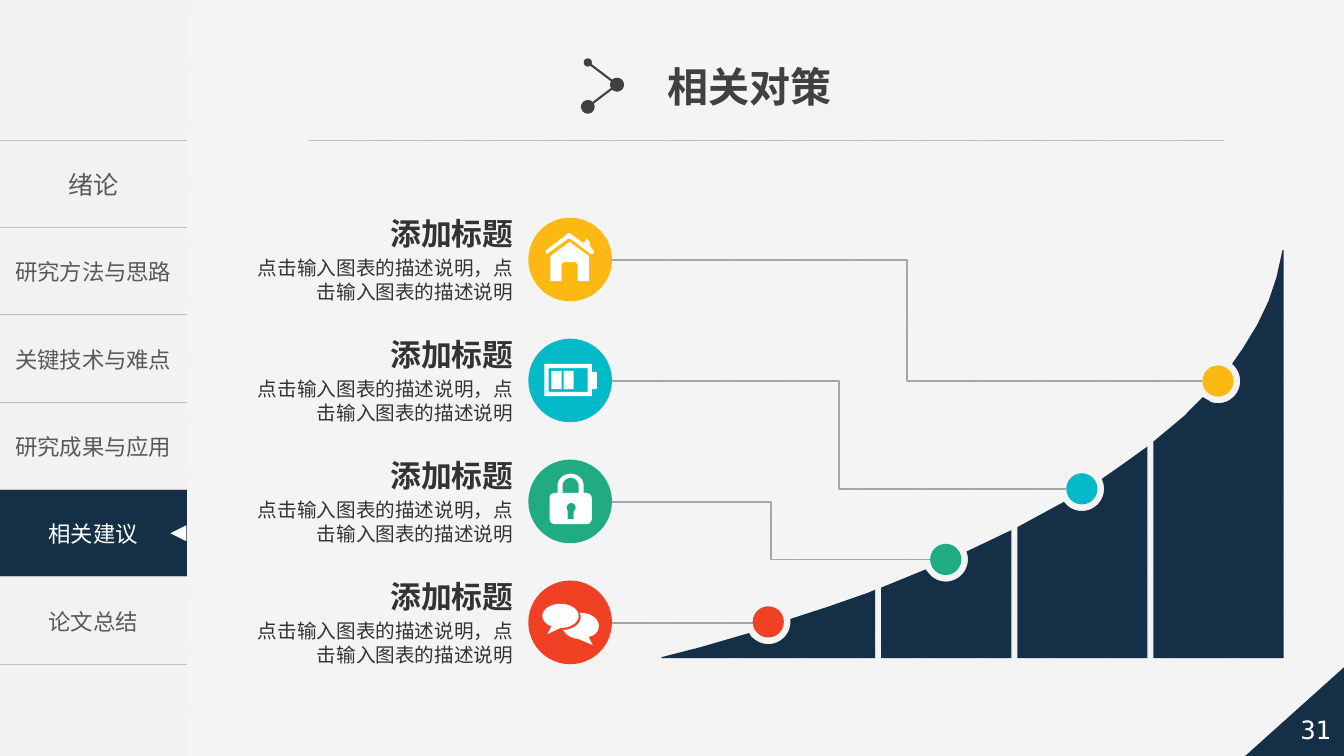
from math import atan2, cos, radians, sin, degrees
from lxml import etree
from pptx import Presentation
from pptx.dml.color import RGBColor
from pptx.enum.dml import MSO_PATTERN
from pptx.enum.shapes import MSO_CONNECTOR, MSO_SHAPE
from pptx.enum.text import MSO_ANCHOR, PP_ALIGN
from pptx.oxml import parse_xml
from pptx.oxml.ns import nsdecls, qn
from pptx.util import Inches, Pt

COLORS = {"navy": "152F47", "white": "FFFFFF", "paper": "F2F2F2", "rule": "BFBFBF",
          "link": "A6A6A6", "title": "404040", "text": "333333", "menu": "595959",
          "yellow": "FCB813", "cyan": "05BAC8", "green": "21AB82", "red": "F14124"}
CJK = "Noto Sans CJK SC"
MENU = ["绪论", "研究方法与思路", "关键技术与难点", "研究成果与应用", "相关建议", "论文总结"]
ACTIVE = 4
DOT = 0.31
# Dot centre and hill edge before and after the dot, by column
HILL = [
    ("red", (7.62, 6.17), [(6.56, 6.52), (6.95, 6.42), (7.43, 6.28), (7.46, 6.33)],
     [(7.84, 6.14), (8.21, 6.02), (8.61, 5.88), (8.68, 5.85)]),
    ("green", (9.38, 5.55), [(8.74, 5.83), (9.18, 5.65), (9.23, 5.71)],
     [(9.59, 5.47), (10.03, 5.26)]),
    ("cyan", (10.73, 4.85), [(10.09, 5.23), (10.44, 5.04), (10.55, 4.98), (10.58, 5.01)],
     [(10.93, 4.75), (11.13, 4.61), (11.38, 4.43)]),
    ("yellow", (12.08, 3.78), [(11.44, 4.38), (11.74, 4.13), (11.93, 3.94), (12, 3.98)],
     [(12.22, 3.61), (12.33, 3.45), (12.47, 3.22), (12.58, 2.99), (12.66, 2.75),
      (12.72, 2.48), (12.73, 2.48)]),
]


def rgb(name):
    return RGBColor.from_string(COLORS[name])


def text(tf, value, size=14, color="text", font=CJK, bold=False, align=PP_ALIGN.CENTER,
         wrap=True, leading=None):
    tf.word_wrap = wrap
    tf.vertical_anchor = MSO_ANCHOR.MIDDLE
    p = tf.paragraphs[0]
    p.alignment = align
    if leading:
        p.line_spacing = Pt(leading)
    r = p.add_run()
    r.text = value
    r.font.size, r.font.bold, r.font.name = Pt(size), bold, font
    r.font.color.rgb = rgb(color)
    rpr = r.font._element
    rpr.set("lang", "zh-CN")
    ea = etree.Element(qn("a:ea"), typeface=CJK)
    rpr.find(qn("a:latin")).addnext(ea)


def paint(sp, color):
    sp.shadow.inherit = False
    sp.fill.solid()
    sp.fill.fore_color.rgb = rgb(color)
    sp.line.fill.background()
    return sp


def shape(s, kind, x, y, w, h, color):
    return paint(s.shapes.add_shape(kind, Inches(x), Inches(y), Inches(w), Inches(h)), color)


def polygon(s, points, color, cx=0, cy=0):
    pts = [(Inches(cx + x), Inches(cy + y)) for x, y in points]
    fb = s.shapes.build_freeform(*pts[0])
    fb.add_line_segments(pts[1:], close=True)
    return paint(fb.convert_to_shape(), color)


def arc(cx, cy, rx, ry, start, end, steps=32):
    angles = [radians(start + (end - start) * i / steps) for i in range(steps + 1)]
    return [(cx + rx * cos(a), cy + ry * sin(a)) for a in angles]


def line(s, start, end, color, width, kind=MSO_CONNECTOR.STRAIGHT, ovals=()):
    c = s.shapes.add_connector(kind, *[Inches(v) for v in (*start, *end)])
    c.line.color.rgb = rgb(color)
    c.line.width = Pt(width)
    for tag, size in zip(("a:headEnd", "a:tailEnd"), ovals):
        etree.SubElement(c.line._ln, qn(tag), type="oval", w=size, len=size)
    etree.SubElement(c._element.spPr, qn("a:effectLst"))


def textbox(s, x, y, w, h, value, **fmt):
    box = s.shapes.add_textbox(Inches(x), Inches(y), Inches(w), Inches(h))
    text(box.text_frame, value, **fmt)


def cell_borders(cell):
    tc_pr = cell._tc.get_or_add_tcPr()
    solid = f'<a:solidFill><a:srgbClr val="{COLORS["rule"]}"/></a:solidFill>'
    for i, side in enumerate("LRTB"):
        fill = solid if side in "TB" else "<a:noFill/>"
        tc_pr.insert(i, parse_xml(f'<a:ln{side} {nsdecls("a")} w="12700">{fill}</a:ln{side}>'))


def sidebar(s, x, y, w, h):
    shape(s, MSO_SHAPE.RECTANGLE, x, y, w, h, "paper")
    top, row_h = y + 1.39, 5.2 / len(MENU)
    table = s.shapes.add_table(len(MENU), 1, Inches(x), Inches(top),
                               Inches(w), Inches(5.2)).table
    table.first_row = table.horz_banding = False
    for i, label in enumerate(MENU):
        cell = table.cell(i, 0)
        cell.vertical_anchor = MSO_ANCHOR.MIDDLE
        if i == ACTIVE:
            cell.fill.solid()
            cell.fill.fore_color.rgb = rgb("navy")
        else:
            cell.fill.background()
        cell_borders(cell)
        text(cell.text_frame, label, size=16 if i else 18,
             color="white" if i == ACTIVE else "menu")
    mark = shape(s, MSO_SHAPE.ISOSCELES_TRIANGLE, x + w - 0.16,
                 top + (ACTIVE + 0.5) * row_h - 0.08, 0.16, 0.16, "white")
    mark.rotation = 270


def header(s, x, y, w, h):
    title = s.shapes.title
    title.left, title.top = Inches(x + 3.47), Inches(y)
    title.width, title.height = Inches(1.85), Inches(0.59)
    text(title.text_frame, "相关对策", size=29.3, color="title", font="Arial", bold=True,
         align=PP_ALIGN.LEFT, wrap=False)
    tip = (x + 3.07, y + 0.28)
    line(s, (x + 2.78, y + 0.06), tip, "title", 1.5, ovals=("med", "lg"))
    line(s, tip, (x + 2.78, y + 0.5), "title", 1.5, ovals=("lg", "lg"))
    line(s, (x, y + h), (x + w, y + h), "rule", 0.5)


def page_number(s, x, y, w, h):
    corner = shape(s, MSO_SHAPE.RIGHT_TRIANGLE, x, y, w, h, "navy")
    corner._element.spPr.xfrm.set("flipH", "1")
    textbox(s, x + w - 0.56, y + 0.35, 0.56, 0.53, "31", size=18, color="white",
            font="DejaVu Sans Mono", wrap=False)


def home_icon(s, cx, cy, _):
    polygon(s, [(-.01, -.18), (-.2, -.04), (-.2, .21), (-.09, .21), (-.09, .04), (-.07, .02),
                (.05, .02), (.07, .04), (.07, .21), (.18, .21), (.18, -.04)], "white", cx, cy)
    polygon(s, [(-.02, -.27), (-.25, -.09), (-.24, -.06), (-.22, -.07), (-.03, -.21), (0, -.21),
                (.2, -.06), (.23, -.06), (.23, -.09), (.19, -.14), (.19, -.18), (.16, -.21),
                (.14, -.18), (.12, -.17), (0, -.26)], "white", cx, cy)


def battery_icon(s, cx, cy, _):
    case = shape(s, MSO_SHAPE.FRAME, cx - .26, cy - .17, .47, .32, "white")
    case.adjustments[0] = 0.13
    shape(s, MSO_SHAPE.ROUNDED_RECTANGLE, cx + .19, cy - .09, .07, .17, "white")
    for dx in (-.19, -.07):
        shape(s, MSO_SHAPE.RECTANGLE, cx + dx, cy - .1, .1, .18, "white")


def lock_icon(s, cx, cy, color):
    polygon(s, [(-.13, -.08)] + arc(0, -.16, .13, .12, 180, 360) + [(.13, -.08), (.08, -.08)]
            + arc(0, -.16, .08, .08, 360, 180) + [(-.08, -.08)], "white", cx, cy)
    shape(s, MSO_SHAPE.ROUNDED_RECTANGLE, cx - .21, cy - .09, .42, .31, "white")
    shape(s, MSO_SHAPE.OVAL, cx - .04, cy + .01, .09, .09, color)
    shape(s, MSO_SHAPE.RECTANGLE, cx - .03, cy + .07, .06, .1, color)


def chat_icon(s, cx, cy, _):
    polygon(s, arc(.1, .03, .18, .13, -95, 45) + [(.18, .14), (.22, .22), (.08, .16)]
            + arc(.1, .03, .18, .13, 100, 160) + arc(-.08, -.06, .18, .13, 90, -15),
            "white", cx, cy)
    polygon(s, arc(-.1, -.07, .18, .12, 90, -240) + [(-.23, .11)], "white", cx, cy)


def measure(s, x, y, color, dot, icon):
    """Place a heading, its description, its icon and the link to its dot."""
    cx, cy = x + 3.27, y + 0.5
    textbox(s, x + 1.36, y, 1.44, 0.47, "添加标题", size=22, bold=True,
            align=PP_ALIGN.RIGHT, leading=26.4)
    textbox(s, x, y + 0.41, 2.8, 0.57, "点击输入图表的描述说明，点击输入图表的描述说明",
            align=PP_ALIGN.RIGHT, leading=16.8)
    kind = MSO_CONNECTOR.STRAIGHT if color == "red" else MSO_CONNECTOR.ELBOW
    end_y = cy if color == "red" else dot[1]
    line(s, (cx + 0.41, cy), (dot[0] - DOT / 2, end_y), "link", 1, kind)
    shape(s, MSO_SHAPE.OVAL, cx - 0.42, cy - 0.42, 0.83, 0.83, color)
    icon(s, cx, cy, color)


def hill(s, base):
    """Draw the columns, each notched around its dot."""
    for color, (cx, cy), before, after in HILL:
        start, end = [degrees(atan2(y - cy, x - cx)) for x, y in (before[-1], after[0])]
        notch = arc(cx, cy, 0.22, 0.22, start, end)
        polygon(s, before + notch + after + [(after[-1][0], base), (before[0][0], base)], "navy")
        shape(s, MSO_SHAPE.OVAL, cx - DOT / 2, cy - DOT / 2, DOT, DOT, color)


def main():
    prs = Presentation()
    prs.slide_width, prs.slide_height = Inches(13.33), Inches(7.5)
    s = prs.slides.add_slide(prs.slide_layouts[5])
    bg = s.background.fill
    bg.patterned()
    bg.pattern = MSO_PATTERN.LIGHT_UPWARD_DIAGONAL
    bg.fore_color.rgb, bg.back_color.rgb = rgb("white"), rgb("paper")
    sidebar(s, 0, 0, 1.85, 7.5)
    header(s, 3.05, 0.56, 9.09, 0.83)
    page_number(s, 12.35, 6.62, 0.98, 0.88)
    icons = [home_icon, battery_icon, lock_icon, chat_icon]
    for i, (column, icon) in enumerate(zip(reversed(HILL), icons)):
        measure(s, 2.39, 2.08 + 1.2 * i, column[0], column[1], icon)
    hill(s, 6.53)
    prs.save("out.pptx")


if __name__ == "__main__":
    main()
